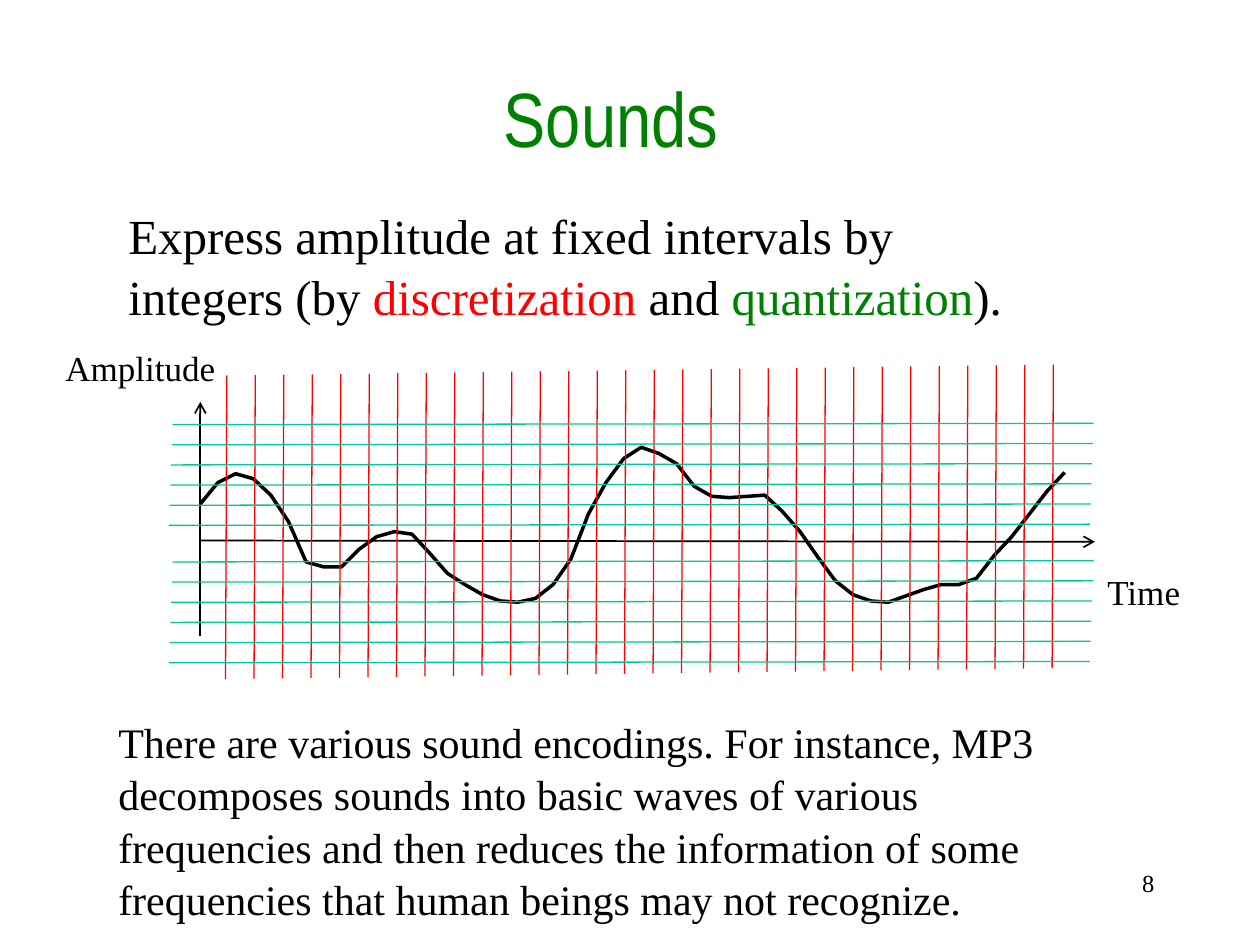
from dataclasses import dataclass
from typing import Any, Optional

from lxml import etree
from pptx import Presentation
from pptx import util as u
from pptx.dml.color import RGBColor
from pptx.enum import shapes, text
from pptx.oxml import ns

BLACK = RGBColor(0x00, 0x00, 0x00)
RED = RGBColor(0xFF, 0x00, 0x00)
GREEN = RGBColor(0x00, 0x80, 0x00)
TEAL = RGBColor(0x00, 0xC8, 0x96)
SERIF = "Times New Roman"
LEFT, CENTER, RIGHT = text.PP_ALIGN.LEFT, text.PP_ALIGN.CENTER, text.PP_ALIGN.RIGHT

SAMPLE_COUNT = 30
SAMPLE_STEP = 6.56 / (SAMPLE_COUNT - 1)
LEVEL_COUNT = 6
LEVEL_STEP = 0.16
LOWEST_LEVELS = (4.17, 5.26)

WAVE_START = 159
WAVE_STEP = 14
WAVE_HEIGHTS = (
    400, 383, 376, 380, 393, 414, 446, 450, 450, 436,
    426, 422, 424, 439, 455, 464, 472, 477, 478, 475,
    464, 444, 408, 383, 364, 355, 360, 368, 386, 394,
    395, 394, 393, 406, 422, 442, 461, 472, 477, 478,
    473, 468, 464, 464, 459, 441, 426, 408, 390, 375,
)


@dataclass
class Run:
    wording: str
    color: RGBColor = BLACK


@dataclass
class Caption:
    left: float
    top: float
    width: float
    height: float
    size: float
    runs: list[Run]
    face: str = SERIF
    align: Any = LEFT
    anchor: Any = text.MSO_ANCHOR.TOP
    wrap: bool = True
    spacing: float = 1.0


@dataclass
class Stroke:
    x1: float
    y1: float
    x2: float
    y2: float
    color: RGBColor = BLACK
    weight: float = 0.75
    arrow: Optional[str] = None


CAPTIONS = [
    Caption(7.15, 6.84, 2.11, 0.52, 14, [Run("8")], align=RIGHT),
    Caption(0.7, 0.3, 8.3, 1.25, 44, [Run("Sounds", GREEN)], "Arial Narrow",
            CENTER, text.MSO_ANCHOR.MIDDLE),
    Caption(0.84, 5.62, 8.11, 1.72, 24, [Run(
        "There are various sound encodings. For instance, MP3 decomposes sounds "
        "into basic waves of various frequencies and then reduces the information "
        "of some frequencies that human beings may not recognize.")], spacing=1.04),
    Caption(0.92, 1.56, 7.58, 1.04, 28, [
        Run("Express amplitude at fixed intervals by integers (by "),
        Run("discretization ", RED), Run("and "),
        Run("quantization", GREEN), Run(").")], spacing=1.04),
    Caption(8.69, 4.48, 0.79, 0.44, 20, [Run("Time")], wrap=False),
    Caption(0.42, 2.7, 1.41, 0.44, 20, [Run("Amplitude")], wrap=False),
]
AXES = [
    Stroke(1.59, 4.29, 8.69, 4.3, weight=1, arrow="arrow"),
    Stroke(1.59, 5.05, 1.59, 3.19, weight=1, arrow="arrow"),
]


def apply(target: Any, values: dict[str, Any]) -> None:
    for name, value in values.items():
        setattr(target, name, value)


def draw_caption(slide: Any, caption: Caption) -> None:
    box = slide.shapes.add_textbox(
        u.Inches(caption.left), u.Inches(caption.top),
        u.Inches(caption.width), u.Inches(caption.height))
    apply(box.text_frame, {"word_wrap": caption.wrap,
                           "vertical_anchor": caption.anchor})
    paragraph = box.text_frame.paragraphs[0]
    apply(paragraph, {"alignment": caption.align, "line_spacing": caption.spacing})
    for part in caption.runs:
        run = paragraph.add_run()
        run.text = part.wording
        apply(run.font, {"name": caption.face, "size": u.Pt(caption.size)})
        run.font.color.rgb = part.color


def draw_stroke(slide: Any, stroke: Stroke) -> None:
    connector = slide.shapes.add_connector(
        shapes.MSO_CONNECTOR.STRAIGHT,
        u.Inches(stroke.x1), u.Inches(stroke.y1),
        u.Inches(stroke.x2), u.Inches(stroke.y2))
    connector.line.color.rgb = stroke.color
    connector.line.width = u.Pt(stroke.weight)
    properties = connector._element.spPr
    if stroke.arrow:
        outline = properties.find(ns.qn("a:ln"))
        etree.SubElement(outline, ns.qn("a:tailEnd"), type=stroke.arrow)
    etree.SubElement(properties, ns.qn("a:effectLst"))


def draw_wave(slide: Any) -> None:
    start, *rest = [(WAVE_START + index * WAVE_STEP, height)
                    for index, height in enumerate(WAVE_HEIGHTS)]
    builder = slide.shapes.build_freeform(*start, scale=u.Inches(0.01))
    builder.add_line_segments(rest, close=False)
    wave = builder.convert_to_shape()
    wave.shadow.inherit = False
    wave.fill.background()
    wave.line.color.rgb = BLACK
    wave.line.width = u.Pt(2)


def sample_line(index: int) -> Stroke:
    x, top = 1.8 + index * SAMPLE_STEP, 2.98 - index * 0.003
    return Stroke(x, top, x - 0.01, top + 2.41, RED)


def level_line(lowest: float, index: int) -> Stroke:
    left, y = 1.34 + index * 0.006, lowest - index * LEVEL_STEP
    return Stroke(left, y, left + 7.31, y - 0.01, TEAL)


def main() -> None:
    deck = Presentation()
    apply(deck, {"slide_width": u.Inches(10), "slide_height": u.Inches(7.5)})
    slide = deck.slides.add_slide(deck.slide_layouts[6])
    for caption in CAPTIONS:
        draw_caption(slide, caption)
    for axis in AXES:
        draw_stroke(slide, axis)
    draw_wave(slide)
    for index in range(SAMPLE_COUNT):
        draw_stroke(slide, sample_line(index))
    for lowest in LOWEST_LEVELS:
        for index in range(LEVEL_COUNT):
            draw_stroke(slide, level_line(lowest, index))
    deck.save("out.pptx")


if __name__ == "__main__":
    main()
